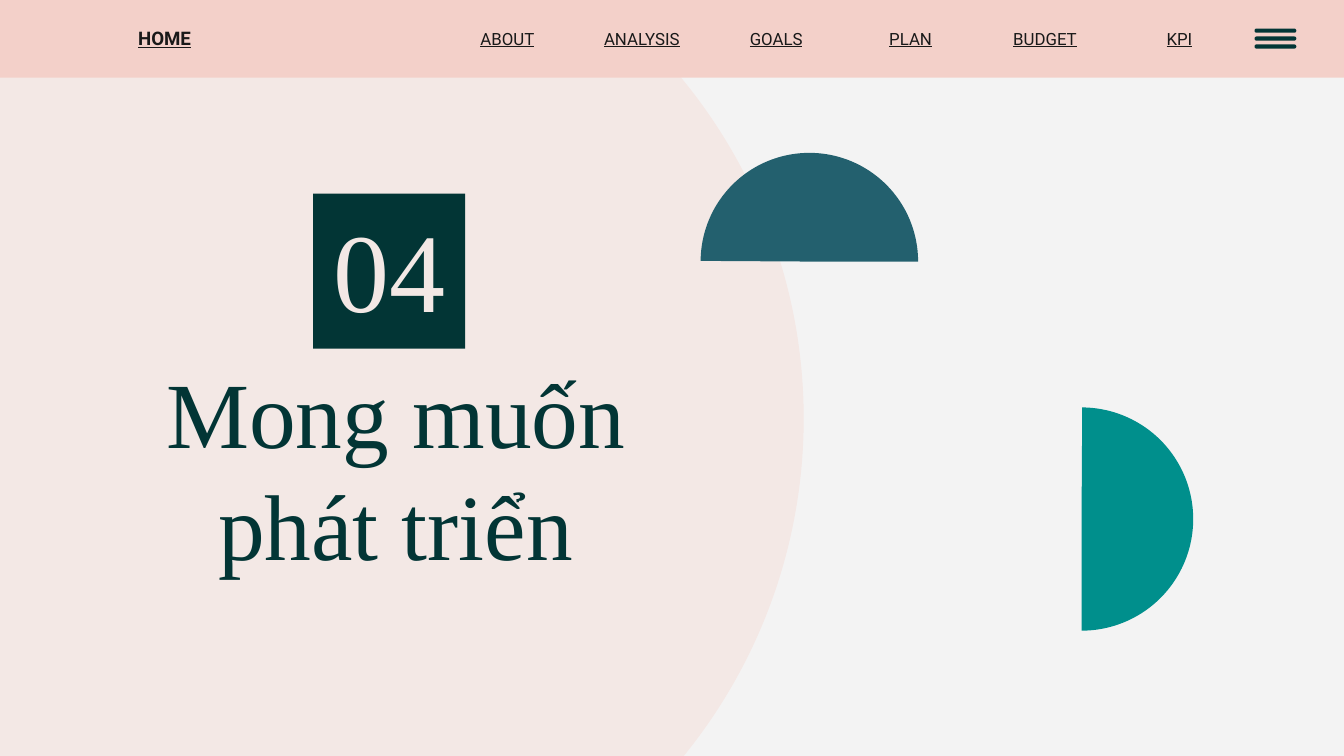
from lxml import etree
from pptx import Presentation
from pptx.dml.color import RGBColor
from pptx.enum import shapes, text
from pptx.util import Cm, Pt

GREEN, BLUSH, INK = "023535", "F3E8E5", "191919"
SERIF, SANS = "Times New Roman", "Roboto"
SHAPE = shapes.MSO_SHAPE
ANCHOR = text.MSO_ANCHOR


def paint(fill, color):
    fill.solid()
    fill.fore_color.rgb = RGBColor.from_string(color)


def add_figure(parent, kind, left, top, width, height, color, adjust=(), turn=0):
    figure = parent.add_shape(kind, Cm(left), Cm(top), Cm(width), Cm(height))
    figure.shadow.inherit = False
    paint(figure.fill, color)
    figure.line.fill.background()
    figure.rotation = turn
    for index, value in enumerate(adjust):
        figure.adjustments[index] = value
    return figure


def write(box, words, size, font, color, anchor=ANCHOR.MIDDLE, left=0.0, right=0.0,
          bold=False, underline=False):
    frame = box.text_frame
    frame.word_wrap = True
    frame.vertical_anchor = anchor
    frame.margin_left, frame.margin_right = Cm(left), Cm(right)
    frame.margin_top = frame.margin_bottom = Cm(0.25)
    frame.text = words
    para = frame.paragraphs[0]
    para.alignment = text.PP_ALIGN.CENTER
    span = para.runs[0]
    span.font.size, span.font.name = Pt(size), font
    span.font.bold, span.font.underline = bold, underline
    span.font.color.rgb = RGBColor.from_string(color)


def add_label(page, left, top, width, height, words, size, font, color, **style):
    box = page.shapes.add_textbox(Cm(left), Cm(top), Cm(width), Cm(height))
    write(box, words, size, font, color, **style)


def add_nav_item(page, left, words, size=9, bold=False):
    add_label(page, left, 0.51, 2.26, 0.43, words, size, SANS, INK,
              bold=bold, underline=True)


def add_menu_icon(page):
    icon = page.shapes.add_group_shape()
    for row in range(3):
        add_figure(icon.shapes, SHAPE.ROUNDED_RECTANGLE,
                   23.71, 0.54 + 0.15 * row, 0.79, 0.08, GREEN, (0.5,))


def main():
    deck = Presentation()
    deck.slide_width, deck.slide_height = Cm(25.4), Cm(14.29)
    page = deck.slides.add_slide(deck.slide_layouts[6])
    paint(page.background.fill, "F3F3F3")

    # Background circle and half discs
    half = (54.21, 162)
    add_figure(page.shapes, SHAPE.OVAL, -5.03, -2.2, 20.22, 20.22, BLUSH)
    add_figure(page.shapes, SHAPE.PIE, 13.24, 2.89, 4.11, 4.11, "23606E", half, 90)
    add_figure(page.shapes, SHAPE.PIE, 18.33, 7.7, 4.22, 4.22, "008F8C", half, 180)

    # Section title and number
    add_label(page, 2.84, 6.73, 9.53, 4.22, "Mong muốn phát triển", 50, SERIF, GREEN,
              right=0.25)
    number = add_figure(page.shapes, SHAPE.RECTANGLE, 5.92, 3.66, 2.87, 2.93, GREEN)
    write(number, "04", 60, SERIF, BLUSH, anchor=ANCHOR.BOTTOM, left=0.25, right=0.25)

    # Navigation bar
    add_figure(page.shapes, SHAPE.RECTANGLE, 0, 0, 25.4, 1.47, "F3D0C9")
    add_nav_item(page, 1.98, "HOME", size=10, bold=True)
    for column, words in enumerate(("ABOUT", "ANALYSIS", "GOALS", "PLAN", "BUDGET", "KPI")):
        add_nav_item(page, 8.46 + 2.54 * column, words)
    add_menu_icon(page)

    deck.save("out.pptx")


if __name__ == "__main__":
    main()
